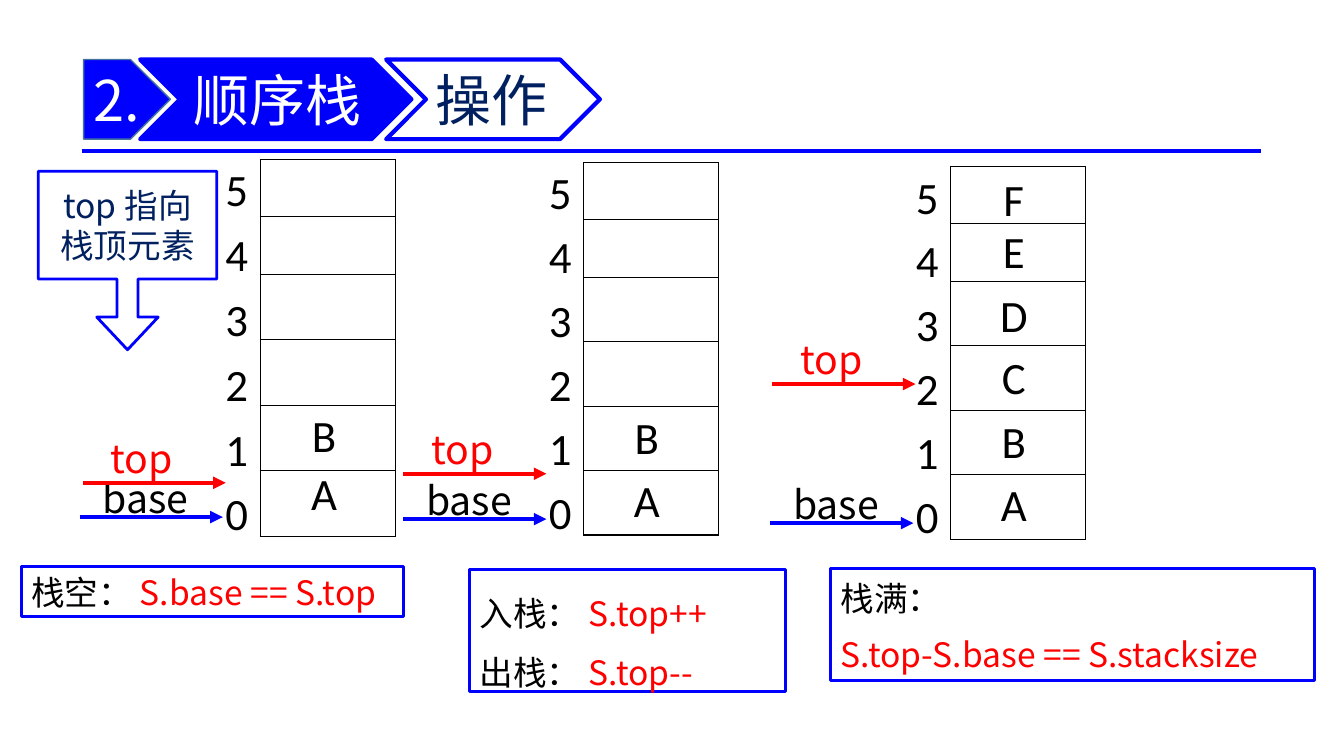
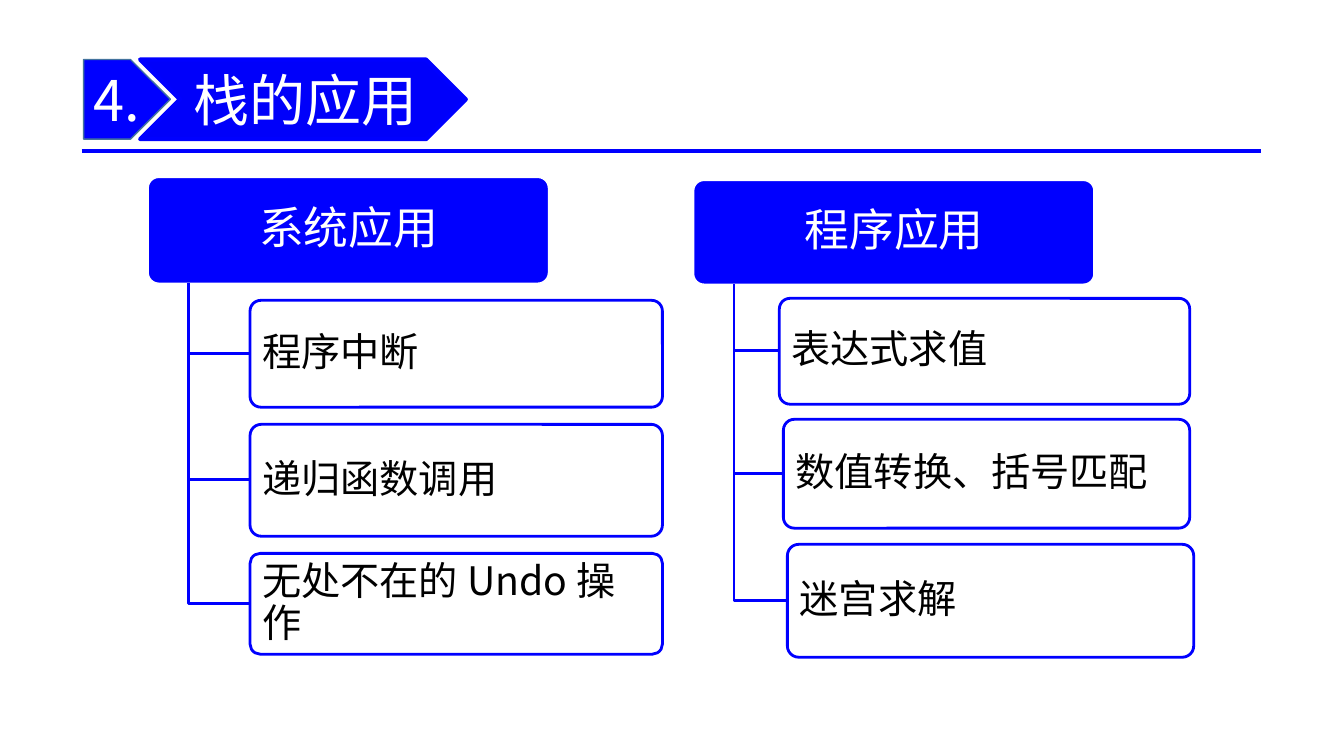
import pptx
import pptx.util
import pptx.dml.color
import pptx.enum.shapes
import pptx.enum.text
import pptx.oxml
import pptx.oxml.ns

Pt = pptx.util.Pt
Kind = pptx.enum.shapes.MSO_SHAPE
Align = pptx.enum.text.PP_ALIGN
Anchor = pptx.enum.text.MSO_ANCHOR

SCALE = 9144  # one px is a hundredth of an inch
HUE = {"blue": "0000FF", "deep": "0000FA", "edge": "43739E", "navy": "002060",
       "red": "FF0000", "black": "000000", "white": "FFFFFF"}
SANS, LATIN = "Noto Sans CJK SC", "Calibri"


def px(n):
    return pptx.util.Emu(int(n * SCALE))


def box(*nums):
    return [px(n) for n in nums]


def rgb(name):
    return pptx.dml.color.RGBColor.from_string(HUE[name])


def node(parent, tag, **attrs):
    item = pptx.oxml.ns.qn(tag)
    child = parent.makeelement(item, attrs)
    parent.append(child)
    return child


def write(shape, text, size=24, color="black", font=SANS, align=Align.LEFT,
          anchor=Anchor.TOP, pad=(10, 5, 10, 5), gaps=(None,)):
    """Fill a shape; text is a string or paragraphs of (words, colour) runs."""
    frame = shape.text_frame
    frame.word_wrap = True
    frame.vertical_anchor = anchor
    (frame.margin_left, frame.margin_top,
     frame.margin_right, frame.margin_bottom) = box(*pad)
    paras = [[(text, color)]] if isinstance(text, str) else text
    for i, runs in enumerate(paras):
        para = frame.paragraphs[0] if i == 0 else frame.add_paragraph()
        para.alignment = align
        para.line_spacing = gaps[i % len(gaps)]
        for words, tint in runs:
            run = para.add_run()
            run.text = words
            run.font.size = Pt(size)
            run.font.name = font
            run.font.color.rgb = rgb(tint)
            node(run.font._element, "a:ea", typeface=font)


def label(slide, spot, text, **style):
    write(slide.shapes.add_textbox(*box(*spot)), text, **style)


def panel(slide, kind, spot, fill="white", line="blue", width=2, adj=()):
    shape = slide.shapes.add_shape(kind, *box(*spot))
    shape.shadow.inherit = False
    shape.fill.solid()
    shape.fill.fore_color.rgb = rgb(fill)
    shape.line.color.rgb = rgb(line)
    shape.line.width = Pt(width)
    for i, value in enumerate(adj):
        shape.adjustments[i] = value
    return shape


def rule(slide, x, y, width, color="blue", arrow=False):
    line = slide.shapes.add_connector(
        pptx.enum.shapes.MSO_CONNECTOR.STRAIGHT, *box(x, y, x + width, y))
    line.line.color.rgb = rgb(color)
    line.line.width = Pt(3)
    if arrow:
        node(line.line._get_or_add_ln(), "a:tailEnd", type="triangle")
    node(line._element.spPr, "a:effectLst")


def column(slide, x, y, width, rows, texts=None):
    """One-column table: ruled cells, or bare cells holding texts."""
    table = slide.shapes.add_table(len(rows), 1, *box(x, y, width, sum(rows))).table
    table.first_row = table.horz_banding = False
    for i, tall in enumerate(rows):
        table.rows[i].height = px(tall)
        cell = table.cell(i, 0)
        props = cell._tc.get_or_add_tcPr()
        for side in "LRTB":
            edge = node(props, "a:ln" + side, w=str(Pt(1)))
            if texts:
                node(edge, "a:noFill")
            else:
                node(node(edge, "a:solidFill"), "a:srgbClr", val=HUE["black"])
        if texts:
            cell.fill.background()
            write(cell, texts[i], size=32, font=LATIN, align=Align.RIGHT)
        else:
            cell.fill.solid()
            cell.fill.fore_color.rgb = rgb("white")


def pointer(slide, x, y, name):
    """Arrow with its name above."""
    color, tint, dx, dy, width = {"base": ("blue", "black", 13, 47, 120),
                                  "top": ("red", "red", 18, 53, 165)}[name]
    rule(slide, x, y, 142, color, arrow=True)
    label(slide, (x + dx, y - dy, width, 57), name, size=28, color=tint)


def stack(slide, x, y, low, pitch, base, top, left, tops):
    """Cells, their indexes, both pointers and the letters from A upwards."""
    column(slide, x, y, 134, [57] * 2 + [low] * 4)
    column(slide, x - 84, y, 82, [pitch] * 6, "543210")
    pointer(slide, *base, "base")
    pointer(slide, *top, "top")
    for letter, at in zip("ABCDEF", tops):
        label(slide, (left, at, 63, 64), letter, size=32, font=LATIN,
              align=Align.CENTER)


def header(slide, number, title, width, topic=None):
    """Title band with its rule."""
    style = dict(size=40, anchor=Anchor.MIDDLE)
    rule(slide, 81, 150, 1170)
    if topic:
        tab = panel(slide, Kind.CHEVRON, (383, 59, 212, 79), width=3)
        write(tab, topic, color="navy", pad=(10, 0, 0, 0), **style)
    plate = panel(slide, Kind.PENTAGON, (83, 59, 86, 79), "blue", "edge", 1)
    write(plate, number, color="white", pad=(10, 5, 0, 5), **style)
    panel(slide, Kind.CHEVRON, (139, 59, width, 79), "deep", width=3)
    label(slide, (188, 44, width - 30, 108), title, color="white",
          pad=(4, 2, 0, 2), **style)


def card(slide, spot, text, fill="white", line="blue", width=2, **style):
    shape = panel(slide, Kind.ROUNDED_RECTANGLE, spot, fill, line, width, [0.1])
    write(shape, text, anchor=Anchor.MIDDLE, pad=(9, 4, 8, 4), gaps=(0.9,), **style)


def tree(slide, head, text, items):
    """Head card with item cards hung on elbow lines."""
    x, y, width, tall = head
    card(slide, head, text, "blue", "white", 1, size=32, color="white",
         align=Align.CENTER)
    trunk, foot = x + 40, y + tall
    for spot, words in items:
        mid = spot[1] + spot[3] // 2
        pen = slide.shapes.build_freeform(trunk, foot, scale=SCALE)
        pen.add_line_segments([(trunk, mid), (spot[0], mid)], close=False)
        elbow = pen.convert_to_shape()
        elbow.shadow.inherit = False
        elbow.fill.background()
        elbow.line.color.rgb = rgb("blue")
        elbow.line.width = Pt(2)
        card(slide, spot, words, size=28)


def ops(slide):
    header(slide, "2.", "顺序栈", 269, "操作")
    # Stacks
    stack(slide, 258, 158, 65, 64.3, (79, 513), (82, 479), 290, (457, 400))
    stack(slide, 579, 161, 64, 63.3, (400, 515), (400, 470), 610, (464, 402))
    stack(slide, 943, 165, 64, 63.3, (764, 519), (766, 381), 974,
          (468, 406, 342, 281, 217, 165))
    # Conditions
    notes = [
        ((21, 562, 379, 50), (None,),
         [[("栈空：", "black"), ("S.base == S.top", "red")]]),
        ((466, 565, 313, 121), (Pt(42),),
         [[("入栈：", "black"), ("S.top++", "red")],
          [("出栈：", "black"), ("S.top--", "red")]]),
        ((824, 564, 480, 111), (1.1, 1.4),
         [[("栈满：", "black")], [("S.top-S.base == S.stacksize", "red")]]),
    ]
    for spot, gaps, text in notes:
        write(panel(slide, Kind.RECTANGLE, spot), text, gaps=gaps)
    # Callout
    tip = panel(slide, Kind.DOWN_ARROW_CALLOUT, (38, 170, 177, 177),
                adj=(0.117, 0.172, 0.183, 0.604))
    write(tip, "top指向栈顶元素", color="navy", align=Align.CENTER,
          anchor=Anchor.MIDDLE)


def uses(slide):
    header(slide, "4.", "栈的应用", 323)
    tree(slide, (147, 176, 397, 105), "系统应用", [
        ((248, 298, 409, 106), "程序中断"),
        ((248, 421, 409, 111), "递归函数调用"),
        ((248, 549, 409, 100), "无处不在的Undo操作")])
    tree(slide, (688, 179, 397, 103), "程序应用", [
        ((773, 296, 407, 105), "表达式求值"),
        ((777, 416, 403, 108), "数值转换、括号匹配"),
        ((781, 540, 403, 112), "迷宫求解")])


def main():
    deck = pptx.Presentation()
    deck.slide_width, deck.slide_height = box(1333, 750)
    for draw in (ops, uses):
        draw(deck.slides.add_slide(deck.slide_layouts[6]))
    deck.save("out.pptx")


if __name__ == "__main__":
    main()
